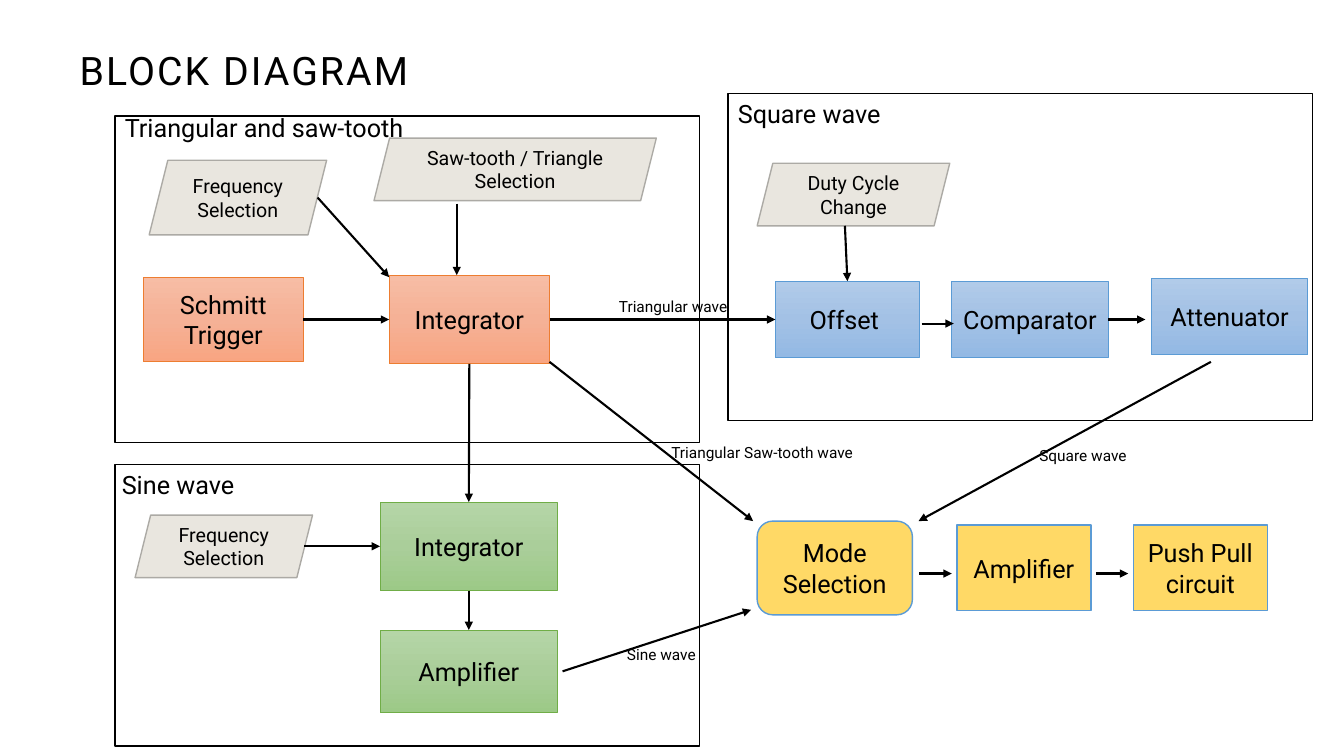
from copy import deepcopy

from pptx import Presentation
from pptx.dml.color import RGBColor
from pptx.enum.shapes import MSO_CONNECTOR as Connector, MSO_SHAPE as Shape
from pptx.enum.text import MSO_ANCHOR as Anchor, MSO_AUTO_SIZE as AutoSize, PP_ALIGN as Align
from pptx.oxml.ns import qn
from pptx.oxml.xmlchemy import OxmlElement
from pptx.util import Inches, Pt

COLUMNS, ROWS = 13.33, 7.5
SLIDE_W, SLIDE_H = Inches(COLUMNS), Inches(ROWS)
COLUMN, ROW = SLIDE_W / COLUMNS, SLIDE_H / ROWS
WHOLE_SLIDE = (0, 0, COLUMNS, ROWS)

COLORS = {
    "ink": "000000",
    "orange_line": "ED7D31",
    "blue_line": "5B9BD5",
    "green_line": "70AD47",
    "input": "E9E6DF",
    "input_line": "ACAAA5",
    "output": "FFD966",
}
GRADIENTS = {
    "orange": ("F7BDA5", "F5B196", "F8A582"),
    "blue": ("B1CBE9", "A3C1E5", "93B9E4"),
    "green": ("B5D5A7", "AACE9A", "9CC987"),
}
STYLES = {
    "orange": (Shape.RECTANGLE, "orange_line", 0.5, 18),
    "blue": (Shape.RECTANGLE, "blue_line", 0.5, 18),
    "green": (Shape.RECTANGLE, "green_line", 0.5, 18),
    "input": (Shape.PARALLELOGRAM, "input_line", 1, 14),
    "output": (Shape.RECTANGLE, "blue_line", 1, 18),
    "mode": (Shape.ROUNDED_RECTANGLE, "blue_line", 1, 18),
}
SIDES = {"top": (0, 0.5, 0), "left": (1, 0, 0.5), "bottom": (2, 0.5, 1), "right": (3, 1, 0.5)}

STAGES = [
    {
        "box": (1.14, 1.15, 5.8, 3.24),
        "caption": ("Triangular and saw-tooth", 0, -0.08),
        "blocks": {
            "schmitt": ("Schmitt Trigger", "orange", 0.28, 1.6, 1.59, 0.84),
            "ramp": ("Integrator", "orange", 2.72, 1.58, 1.59, 0.88),
            "ramp_frequency": ("Frequency Selection", "input", 0.34, 0.44, 1.76, 0.74),
            "wave_choice": ("Saw-tooth / Triangle Selection", "input", 2.57, 0.22, 2.8, 0.62),
        },
        "arrows": [
            ((2.01, 0.81), (2.72, 1.6)),
            ((3.39, 0.87), (3.39, 1.58)),
            (("schmitt", "right"), ("ramp", "left")),
        ],
    },
    {
        "box": (7.22, 0.93, 5.8, 3.24),
        "caption": ("Square wave", 0, 0),
        "blocks": {
            "comparator": ("Comparator", "blue", 2.22, 1.86, 1.55, 0.76),
            "attenuator": ("Attenuator", "blue", 4.2, 1.83, 1.55, 0.76),
            "offset": ("Offset ", "blue", 0.47, 1.86, 1.43, 0.76),
            "duty_cycle": ("Duty Cycle Change", "input", 0.29, 0.69, 1.91, 0.62),
        },
        "arrows": [
            ((1.92, 2.28), (2.24, 2.28)),
            (("comparator", "right"), (4.14, 2.24)),
            ((1.16, 1.31), ("offset", "top")),
        ],
    },
    {
        "box": (1.14, 4.61, 5.8, 2.79),
        "caption": ("Sine wave", -0.03, 0),
        "blocks": {
            "shaper": ("Integrator", "green", 2.63, 0.37, 1.76, 0.88),
            "sine_amplifier": ("Amplifier", "green", 2.63, 1.64, 1.76, 0.82),
            "sine_frequency": ("Frequency Selection", "input", 0.2, 0.5, 1.76, 0.62),
        },
        "arrows": [
            ((1.88, 0.81), ("shaper", "left")),
            (("shaper", "bottom"), ("sine_amplifier", "top")),
        ],
    },
    {
        "box": (7.51, 5.17, 5.06, 0.93),
        "caption": None,
        "blocks": {
            "mode": ("Mode Selection", "mode", 0, 0, 1.54, 0.93),
            "power_amplifier": ("Amplifier", "output", 1.98, 0.04, 1.33, 0.85),
            "push_pull": ("Push Pull\ncircuit", "output", 3.73, 0.04, 1.33, 0.85),
        },
        "arrows": [((1.61, 0.52), (1.93, 0.52)), ((3.36, 0.52), (3.68, 0.52))],
    },
]
SIGNALS = [
    (("ramp", "right"), ("offset", "left")),
    (("ramp", "bottom"), ("shaper", "top")),
    ((5.45, 3.59), (7.47, 5.17)),
    ((5.58, 6.66), (7.45, 6.05)),
    ((12.01, 3.59), (9.11, 5.17)),
]
SIGNAL_NAMES = [
    ("Triangular wave", 6.04, 2.9, 1.33),
    ("Square wave", 10.21, 4.38, 1.33),
    ("Sine wave", 6.12, 6.35, 1.33),
    ("Triangular Saw-tooth wave", 6.56, 4.35, 2.1),
]


def color(name):
    return RGBColor.from_string(COLORS[name])


def locate(box, x, y):
    return round((box[0] + x) * COLUMN), round((box[1] + y) * ROW)


def span(width, height):
    return round(width * COLUMN), round(height * ROW)


def write(frame, words, size, align=Align.LEFT, **frame_format):
    for name, value in {"word_wrap": True, **frame_format}.items():
        setattr(frame, name, value)
    frame.text = words
    for paragraph in frame.paragraphs:
        paragraph.alignment = align
        for run in paragraph.runs:
            for name, value in {"name": "Roboto", "size": Pt(size)}.items():
                setattr(run.font, name, value)
            run.font.color.rgb = color("ink")


def outline(line, name, width):
    line.color.rgb = color(name)
    line.width = Pt(width)


def fill_gradient(shape, shades):
    shape.fill.gradient()
    shape.fill.gradient_angle = 270
    stop_list = shape.element.spPr.find(qn("a:gradFill")).find(qn("a:gsLst"))
    stop_list.append(deepcopy(stop_list[-1]))
    for index, (stop, shade) in enumerate(zip(shape.fill.gradient_stops, shades)):
        stop.position = index / 2
        stop.color.rgb = RGBColor.from_string(shade)


def draw_label(slide, box, words, x, y, width, height, size):
    label = slide.shapes.add_textbox(*locate(box, x, y), *span(width, height))
    write(label.text_frame, words, size, auto_size=AutoSize.SHAPE_TO_FIT_TEXT)


def draw_block(slide, box, words, style, x, y, width, height):
    preset, line_color, line_width, size = STYLES[style]
    block = slide.shapes.add_shape(preset, *locate(box, x, y), *span(width, height))
    block.shadow.inherit = False
    if style in GRADIENTS:
        fill_gradient(block, GRADIENTS[style])
    else:
        block.fill.solid()
        block.fill.fore_color.rgb = color("input" if style == "input" else "output")
    outline(block.line, line_color, line_width)
    write(block.text_frame, words, size, Align.CENTER, vertical_anchor=Anchor.MIDDLE)
    return block


def draw_arrow(slide, box, blocks, start, end):
    points, joins = [], []
    for first, second in (start, end):
        if first in blocks:
            block = blocks[first]
            site, across, down = SIDES[second]
            points += [round(block.left + across * block.width), round(block.top + down * block.height)]
            joins.append((block, site))
        else:
            points += locate(box, first, second)
            joins.append(None)
    arrow = slide.shapes.add_connector(Connector.STRAIGHT, *points)
    for connect, join in zip((arrow.begin_connect, arrow.end_connect), joins):
        if join:
            connect(*join)
    outline(arrow.line, "ink", 1.5)
    head = OxmlElement("a:tailEnd")
    head.set("type", "triangle")
    arrow.line._get_or_add_ln().append(head)
    arrow.element.spPr.append(OxmlElement("a:effectLst"))


def draw_title(slide):
    title = slide.shapes.title
    title.left, title.top = locate(WHOLE_SLIDE, 0.69, 0.39)
    title.width, title.height = span(3.71, 0.59)
    write(title.text_frame, "BLOCK DIAGRAM", 28, vertical_anchor=Anchor.BOTTOM, auto_size=AutoSize.NONE)
    heading = title.text_frame.paragraphs[0]
    heading.line_spacing = 0.9
    heading.runs[0].font._element.set("spc", "150")


def draw_stage(slide, box, caption, blocks, arrows):
    if caption:
        border = slide.shapes.add_shape(Shape.RECTANGLE, *locate(box, 0, 0), *span(*box[2:]))
        border.shadow.inherit = False
        border.fill.background()
        outline(border.line, "ink", 1)
    drawn = {key: draw_block(slide, box, *block) for key, block in blocks.items()}
    for start, end in arrows:
        draw_arrow(slide, box, drawn, start, end)
    if caption:
        draw_label(slide, box, *caption, 3.14, 0.4, 18)
    return drawn


def draw_signals(slide, box, blocks):
    for start, end in SIGNALS:
        draw_arrow(slide, box, blocks, start, end)
    for words, x, y, width in SIGNAL_NAMES:
        draw_label(slide, box, words, x, y, width, 0.29, 11)


def main():
    deck = Presentation()
    deck.slide_width, deck.slide_height = SLIDE_W, SLIDE_H
    slide = deck.slides.add_slide(deck.slide_layouts[5])
    draw_title(slide)
    blocks = {}
    for stage in STAGES:
        blocks.update(draw_stage(slide, **stage))
    draw_signals(slide, WHOLE_SLIDE, blocks)
    deck.save("out.pptx")


if __name__ == "__main__":
    main()
